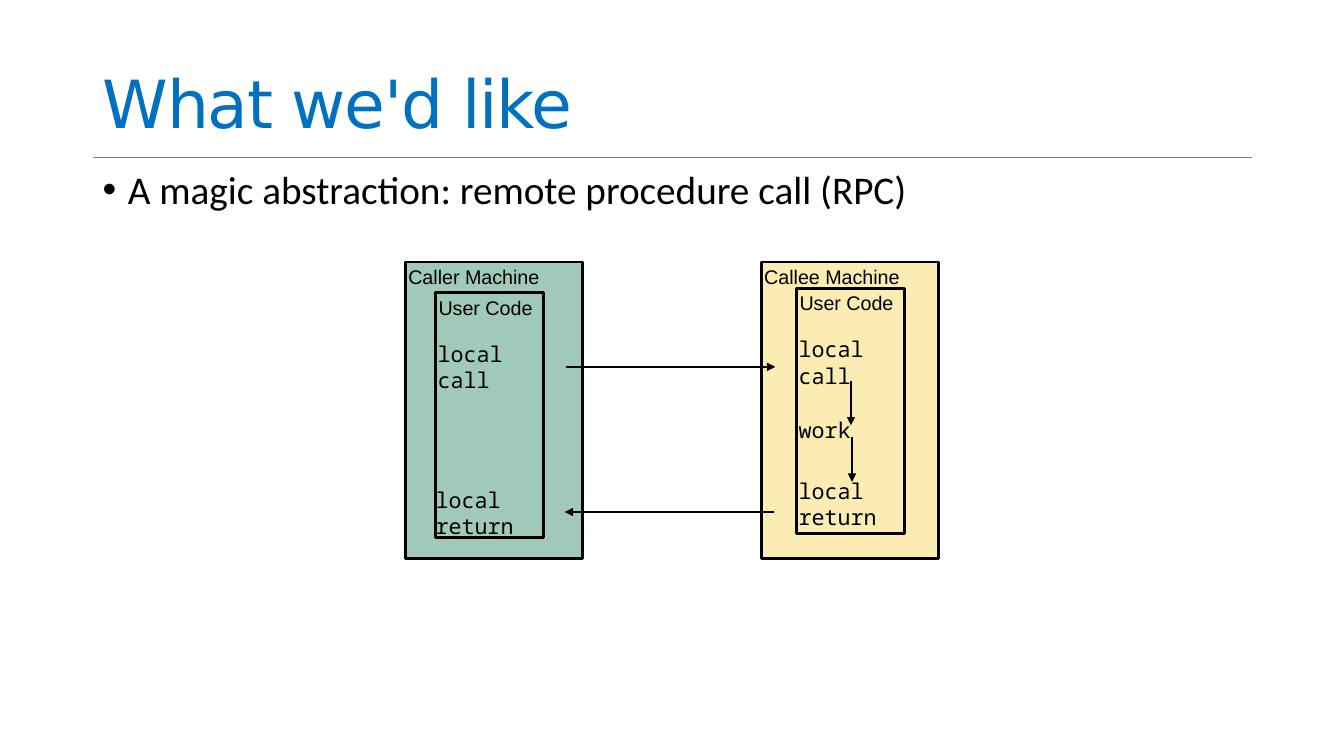
from lxml import etree
from pptx import Presentation
from pptx.dml.color import RGBColor
from pptx.enum.shapes import MSO_CONNECTOR, MSO_SHAPE
from pptx.enum.text import MSO_ANCHOR, MSO_AUTO_SIZE, PP_ALIGN
from pptx.oxml.ns import qn
from pptx.util import Pt

PX = 9144
RECT = MSO_SHAPE.RECTANGLE
STRAIGHT = MSO_CONNECTOR.STRAIGHT
TOP, MIDDLE, BOTTOM = MSO_ANCHOR.TOP, MSO_ANCHOR.MIDDLE, MSO_ANCHOR.BOTTOM
LEFT = PP_ALIGN.LEFT
FIXED = MSO_AUTO_SIZE.NONE

BLACK = RGBColor(0, 0, 0)
BLUE = RGBColor(0x00, 0x70, 0xC0)
GRAY = RGBColor(0x7F, 0x7F, 0x7F)
GREEN = RGBColor(0xA1, 0xC9, 0xBA)
CREAM = RGBColor(0xFB, 0xEC, 0xB3)

HEAD = {"name": "DejaVu Sans", "size": Pt(47.4), "color": BLUE}
BODY = {"name": "Calibri", "size": Pt(28), "color": BLACK}
LABEL = {"name": "Arial", "size": Pt(14.1), "color": BLACK}
CODE = {"name": "Noto Sans Mono", "size": Pt(15.5), "color": BLACK}


def emu(*sizes):
    return [size * PX for size in sizes]


def write(shape, text, style, anchor=TOP, inset=None):
    frame = shape.text_frame
    frame.word_wrap = True
    frame.auto_size = FIXED
    frame.vertical_anchor = anchor
    if inset is not None:
        for side in ("left", "top", "right", "bottom"):
            setattr(frame, "margin_" + side, inset * PX)
    para = frame.paragraphs[0]
    para.alignment = LEFT
    run = para.add_run()
    run.text = text
    for key, value in style.items():
        if key == "color":
            run.font.color.rgb = value
        else:
            setattr(run.font, key, value)
    return para


def panel(slide, box, text, fill=None):
    shape = slide.shapes.add_shape(RECT, *emu(*box))
    shape.shadow.inherit = False
    if fill is None:
        shape.fill.background()
    else:
        shape.fill.solid()
        shape.fill.fore_color.rgb = fill
    shape.line.color.rgb = BLACK
    shape.line.width = Pt(2)
    write(shape, text, LABEL, inset=3)


def link(slide, start, end, color=BLACK, width=1, arrow=True):
    line = slide.shapes.add_connector(STRAIGHT, *emu(*start, *end))
    line.line.color.rgb = color
    line.line.width = Pt(width)
    if arrow:
        edge = line.line.get_or_add_ln() if hasattr(line.line, "get_or_add_ln") else line.get_or_add_ln()
        etree.SubElement(edge, qn("a:tailEnd"), type="triangle")
    etree.SubElement(line._element.spPr, qn("a:effectLst"))


def header(slide, box):
    x, y, w, h = box
    title = slide.shapes.title
    title.left, title.top, title.width, title.height = emu(*box)
    para = write(title, "What we'd like", HEAD, BOTTOM)
    para.line_spacing = 0.9
    para.runs[0].font._element.set("spc", "-90")
    base = y + h + 9
    link(slide, (x, base), (x + w, base), GRAY, 0.5, arrow=False)


def point(slide, box):
    shape = slide.shapes.add_textbox(*emu(*box))
    para = write(shape, "A magic abstraction: remote procedure call (RPC)", BODY)
    para.line_spacing = 0.9
    props = para._p.get_or_add_pPr()
    props.set("marL", str(25 * PX))
    props.set("indent", str(-25 * PX))
    etree.SubElement(props, qn("a:buFont"), typeface="Arial")
    etree.SubElement(props, qn("a:buChar"), char="•")


def machine(slide, box, name, fill, inner, core, steps):
    x, y, w, h = box
    dx, dy = inner
    panel(slide, box, name, fill)
    panel(slide, (x + dx, y + dy, 107, 243), "User Code", core)
    for text, left, top, high in steps:
        shape = slide.shapes.add_textbox(*emu(x + left, y + top, 112, high))
        write(shape, text, CODE, MIDDLE, 3)


def diagram(slide, box):
    x, y, w, h = box
    wide = 176
    right = x + w - wide
    machine(slide, (x, y, wide, h), "Caller Machine", GREEN, (30, 30), None,
            [("local call", 29, 77, 53), ("local return", 27, 222, 53)])
    machine(slide, (right, y, wide, h), "Callee Machine", CREAM, (35, 26), CREAM,
            [("local call", 34, 73, 53), ("work", 34, 152, 28),
             ("local return", 34, 210, 59)])
    for dx, dy in ((89, 118), (90, 174)):
        link(slide, (right + dx, y + dy), (right + dx, y + dy + 44))
    link(slide, (x + 159, y + 104), (right + 14, y + 104))
    link(slide, (right + 13, y + 248), (x + 158, y + 248))


def main():
    deck = Presentation()
    deck.slide_width, deck.slide_height = emu(1333, 750)
    slide = deck.slides.add_slide(deck.slide_layouts[5])
    header(slide, (92, 2, 1150, 145))
    point(slide, (92, 164, 863, 476))
    diagram(slide, (402, 260, 529, 294))
    deck.save("out.pptx")


if __name__ == "__main__":
    main()
